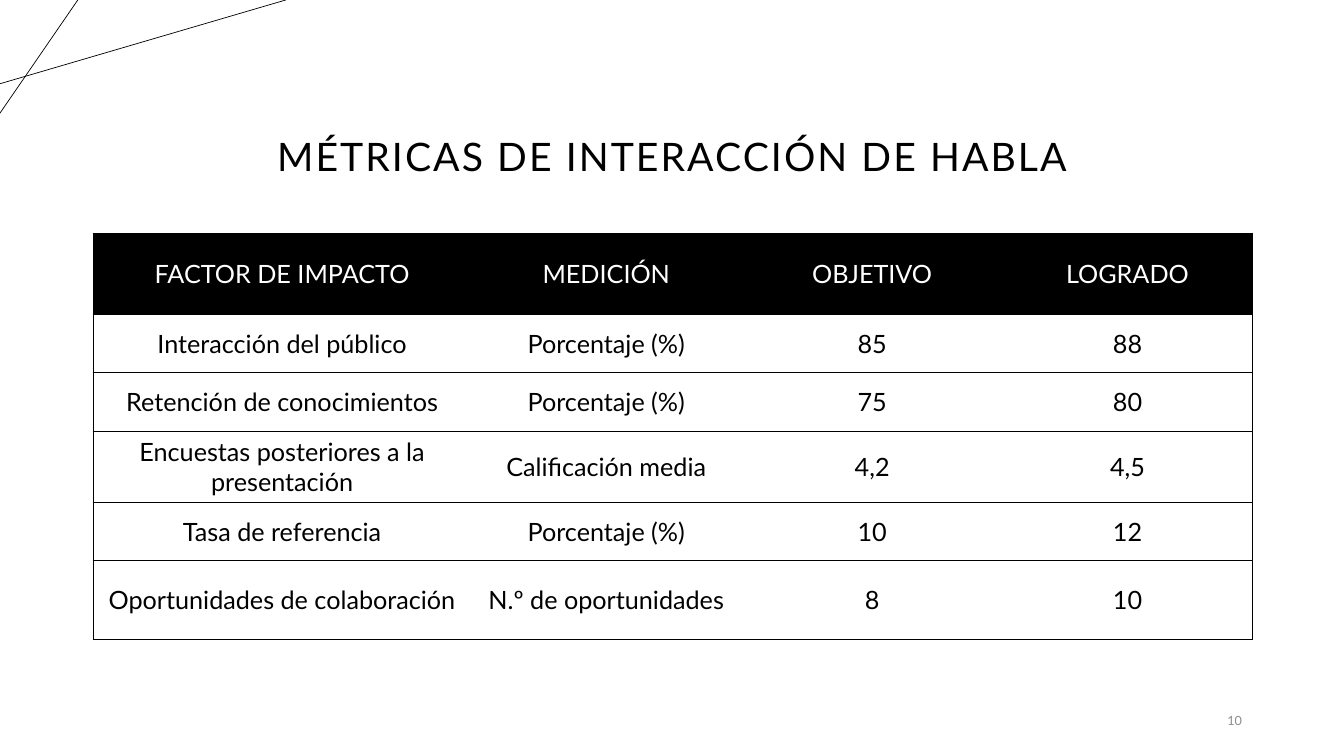
"""Build the slide with the table of speech interaction metrics."""
from lxml import etree
from pptx import Presentation
from pptx.dml.color import RGBColor
from pptx.enum import shapes, text
from pptx.oxml import ns
from pptx.util import Cm, Pt

TITLE = "MÉTRICAS DE INTERACCIÓN DE HABLA"
NUMBER = "10"
ROWS = [
    ("FACTOR DE IMPACTO", "MEDICIÓN", "OBJETIVO", "LOGRADO"),
    ("Interacción del público", "Porcentaje (%)", "85", "88"),
    ("Retención de conocimientos", "Porcentaje (%)", "75", "80"),
    ("Encuestas posteriores a la presentación", "Calificación media", "4,2", "4,5"),
    ("Tasa de referencia", "Porcentaje (%)", "10", "12"),
    ("Oportunidades de colaboración", "N.º de oportunidades", "8", "10"),
]
WIDTHS = [9.54, 6.8, 6.6, 6.27]
HEIGHTS = [2.04, 1.48, 1.48, 1.48, 1.48, 1.98]
LINES = [(0, 2.11, 7.2, 0), (1.96, 0, 0, 2.85)]
LEFT, WIDTH = 2.34, 29.21
FONT, BLACK, WHITE, GREY = "Lato", "000000", "FFFFFF", "8C8C8C"
ALIGN, MIDDLE = text.PP_ALIGN, text.MSO_ANCHOR.MIDDLE


def paint(fill, color):
    fill.solid()
    fill.fore_color.rgb = RGBColor.from_string(color)


def write(frame, words, size, color, align=ALIGN.CENTER):
    par = frame.paragraphs[0]
    par.alignment = align
    run = par.add_run()
    run.text = words
    run.font.name, run.font.size, run.font.bold = FONT, Pt(size), False
    paint(run.font.fill, color)
    return par, run


def border(cell, side, shown):
    props = cell._tc.get_or_add_tcPr()
    line = etree.SubElement(props, ns.qn("a:ln" + side), w=str(Pt(0.5)))
    if shown:
        fill = etree.SubElement(line, ns.qn("a:solidFill"))
        etree.SubElement(fill, ns.qn("a:srgbClr"), val=BLACK)
    else:
        etree.SubElement(line, ns.qn("a:noFill"))


def add_lines(slide):
    for ends in LINES:
        line = slide.shapes.add_connector(
            shapes.MSO_CONNECTOR.STRAIGHT, *map(Cm, ends))
        paint(line.line.fill, BLACK)
        line.line.width = Pt(0.5)
        etree.SubElement(line._element.spPr, ns.qn("a:effectLst"))


def add_title(slide):
    title = slide.shapes.title
    title.left, title.top = Cm(LEFT), Cm(0.99)
    title.width, title.height = Cm(WIDTH), Cm(3.68)
    title.text_frame.vertical_anchor = text.MSO_ANCHOR.BOTTOM
    par, run = write(title.text_frame, TITLE, 28, BLACK)
    par.line_spacing = 0.9
    run._r.get_or_add_rPr().set("spc", "150")


def add_grid(slide):
    grid = slide.shapes.add_table(
        len(ROWS), len(WIDTHS), Cm(LEFT), Cm(5.87), Cm(WIDTH), Cm(sum(HEIGHTS))).table
    grid.horz_banding = False
    for col, width in zip(grid.columns, WIDTHS):
        col.width = Cm(width)
    for row, height in zip(grid.rows, HEIGHTS):
        row.height = Cm(height)
    for i, row in enumerate(ROWS):
        for j, words in enumerate(row):
            cell = grid.cell(i, j)
            cell.vertical_anchor = MIDDLE
            shown = {"L": j == 0, "R": j == len(row) - 1, "T": True, "B": True}
            for side in shown:
                border(cell, side, shown[side])
            back, ink = (WHITE, BLACK) if i else (BLACK, WHITE)
            paint(cell.fill, back)
            write(cell.text_frame, words, 18, ink)


def add_number(slide):
    frame = slide.shapes.add_textbox(
        Cm(28.8), Cm(17.65), Cm(2.75), Cm(1.02)).text_frame
    frame.word_wrap = True
    frame.vertical_anchor = MIDDLE
    write(frame, NUMBER, 9, GREY, ALIGN.RIGHT)


def main():
    deck = Presentation()
    deck.slide_width, deck.slide_height = Cm(33.87), Cm(19.05)
    slide = deck.slides.add_slide(deck.slide_layouts[5])
    paint(slide.background.fill, WHITE)
    add_lines(slide)
    add_title(slide)
    add_grid(slide)
    add_number(slide)
    deck.save("out.pptx")


if __name__ == "__main__":
    main()
